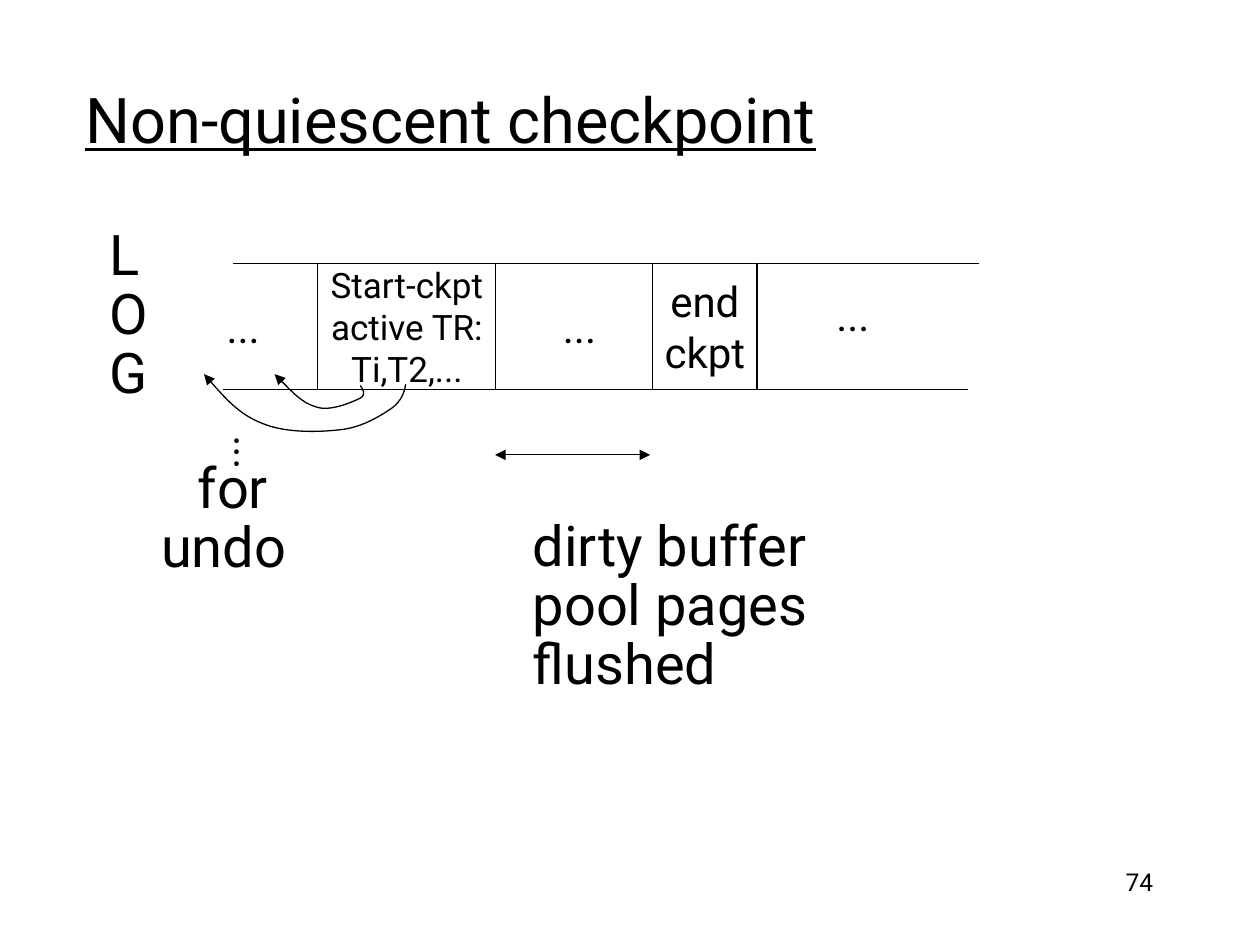
from lxml import etree
from pptx import Presentation
from pptx.dml.color import RGBColor
from pptx.enum.shapes import MSO_CONNECTOR, MSO_SHAPE
from pptx.enum.text import MSO_ANCHOR, PP_ALIGN
from pptx.oxml.ns import qn
from pptx.util import Inches, Pt

RECT = MSO_SHAPE.RECTANGLE
STRAIGHT = MSO_CONNECTOR.STRAIGHT
TOP, MIDDLE = MSO_ANCHOR.TOP, MSO_ANCHOR.MIDDLE
LEFT, CENTER, RIGHT = PP_ALIGN.LEFT, PP_ALIGN.CENTER, PP_ALIGN.RIGHT

FONT = "Roboto"
COLORS = {"ink": "000000", "paper": "FFFFFF"}
LOG_TOP, LOG_HEIGHT = 2.09, 1
LOG_BOTTOM = LOG_TOP + LOG_HEIGHT
LOG_CELLS = [
    (2.52, 1.42, "Start-ckpt\nactive TR:\nTi,T2,...", 20),
    (3.93, 1.25, "", 24),
    (5.18, 0.83, "end\nckpt", 24),
]
RAILS = [(6.02, LOG_TOP), (5.93, LOG_BOTTOM), (1.85, LOG_TOP), (1.77, LOG_BOTTOM)]
RAIL_LENGTH = 1.75
ELLIPSES = [(6.52, 2.25, 0), (4.35, 2.34, 0), (1.68, 2.34, 0), (1.51, 3.34, 270)]
UNDO_CURVES = [
    [(2.86, 3.06), (2.88, 3.09), (2.91, 3.13), (2.86, 3.16), (2.8, 3.19),
     (2.62, 3.27), (2.51, 3.23), (2.4, 3.2), (2.29, 3.08), (2.18, 2.97)],
    [(3.22, 3.05), (3.21, 3.11), (3.19, 3.18), (3.11, 3.24), (3.02, 3.3),
     (2.88, 3.39), (2.71, 3.41), (2.54, 3.43), (2.27, 3.44), (2.08, 3.36),
     (1.9, 3.29), (1.76, 3.13), (1.62, 2.97)],
]


def color(name):
    return RGBColor.from_string(COLORS[name])


def write(sp, text, size=32, align=LEFT, anchor=TOP, wrap=False,
          underline=False, spacing=None, before=0, first_indent=0):
    tf = sp.text_frame
    tf.word_wrap = wrap
    tf.vertical_anchor = anchor
    for i, line in enumerate(text.split("\n")):
        p = tf.paragraphs[0] if i == 0 else tf.add_paragraph()
        p.alignment = align
        if spacing:
            p.line_spacing = spacing
        if i:
            p.space_before = Pt(before)
        elif first_indent:
            p._p.get_or_add_pPr().set("indent", str(Inches(first_indent)))
        r = p.add_run()
        r.text = line
        r.font.name = FONT
        r.font.size = Pt(size)
        r.font.color.rgb = color("ink")
        if underline:
            r.font.underline = True


def add_text(s, x, y, w, h, text, **fmt):
    sp = s.shapes.add_textbox(Inches(x), Inches(y), Inches(w), Inches(h))
    write(sp, text, **fmt)
    return sp


def style_line(sp, head=False, tail=False):
    sp.line.color.rgb = color("ink")
    sp.line.width = Pt(0.75)
    ln = sp.line._get_or_add_ln()
    for tag, wanted in (("a:headEnd", head), ("a:tailEnd", tail)):
        if wanted:
            etree.SubElement(ln, qn(tag), type="triangle")


def add_cell(s, x, w, text, size):
    sp = s.shapes.add_shape(RECT, Inches(x), Inches(LOG_TOP), Inches(w), Inches(LOG_HEIGHT))
    sp.shadow.inherit = False
    sp.fill.solid()
    sp.fill.fore_color.rgb = color("paper")
    style_line(sp)
    if text:
        write(sp, text, size=size, align=CENTER, anchor=MIDDLE)


def add_line(s, x1, x2, y, **ends):
    c = s.shapes.add_connector(STRAIGHT, Inches(x1), Inches(y), Inches(x2), Inches(y))
    style_line(c, **ends)
    etree.SubElement(c._element.spPr, qn("a:effectLst"))


def add_curve(s, points):
    start, *rest = [(Inches(x), Inches(y)) for x, y in points]
    builder = s.shapes.build_freeform(*start)
    builder.add_line_segments(rest, close=False)
    sp = builder.convert_to_shape()
    sp.shadow.inherit = False
    sp.fill.background()
    style_line(sp, tail=True)
    segments = list(sp._element.iter(qn("a:lnTo")))
    outline = segments[0].getparent()
    for i in range(0, len(segments), 3):
        bezier = etree.SubElement(outline, qn("a:cubicBezTo"))
        for segment in segments[i:i + 3]:
            bezier.append(segment[0])
            outline.remove(segment)


def main():
    prs = Presentation()
    prs.slide_width, prs.slide_height = Inches(10), Inches(7.5)
    s = prs.slides.add_slide(prs.slide_layouts[6])

    add_text(s, 7.17, 6.83, 2.08, 0.5, "74", size=14, align=RIGHT, wrap=True)
    add_text(s, 0.58, 0.43, 8.5, 1.01, "Non-quiescent checkpoint",
             size=36, anchor=MIDDLE, wrap=True, underline=True)
    body = {"spacing": 0.7, "before": 6.8, "wrap": True}
    add_text(s, 0.77, 1.84, 0.6, 1.4, "L\nO\nG", **body)
    add_text(s, 1.18, 3.69, 1.4, 0.95, "for\nundo", first_indent=0.29, **body)
    add_text(s, 4.13, 4.15, 3, 1.4, "dirty buffer\npool pages\nflushed", **body)

    for cell in LOG_CELLS:
        add_cell(s, *cell)
    for x, y in RAILS:
        add_line(s, x, x + RAIL_LENGTH, y)
    for x, y, rotation in ELLIPSES:
        sp = add_text(s, x, y, 0.5, 0.5, "...", size=24, align=CENTER, anchor=MIDDLE)
        sp.rotation = rotation
    add_line(s, 3.93, 5.16, 3.61, head=True, tail=True)
    for points in UNDO_CURVES:
        add_curve(s, points)

    prs.save("out.pptx")


if __name__ == "__main__":
    main()
